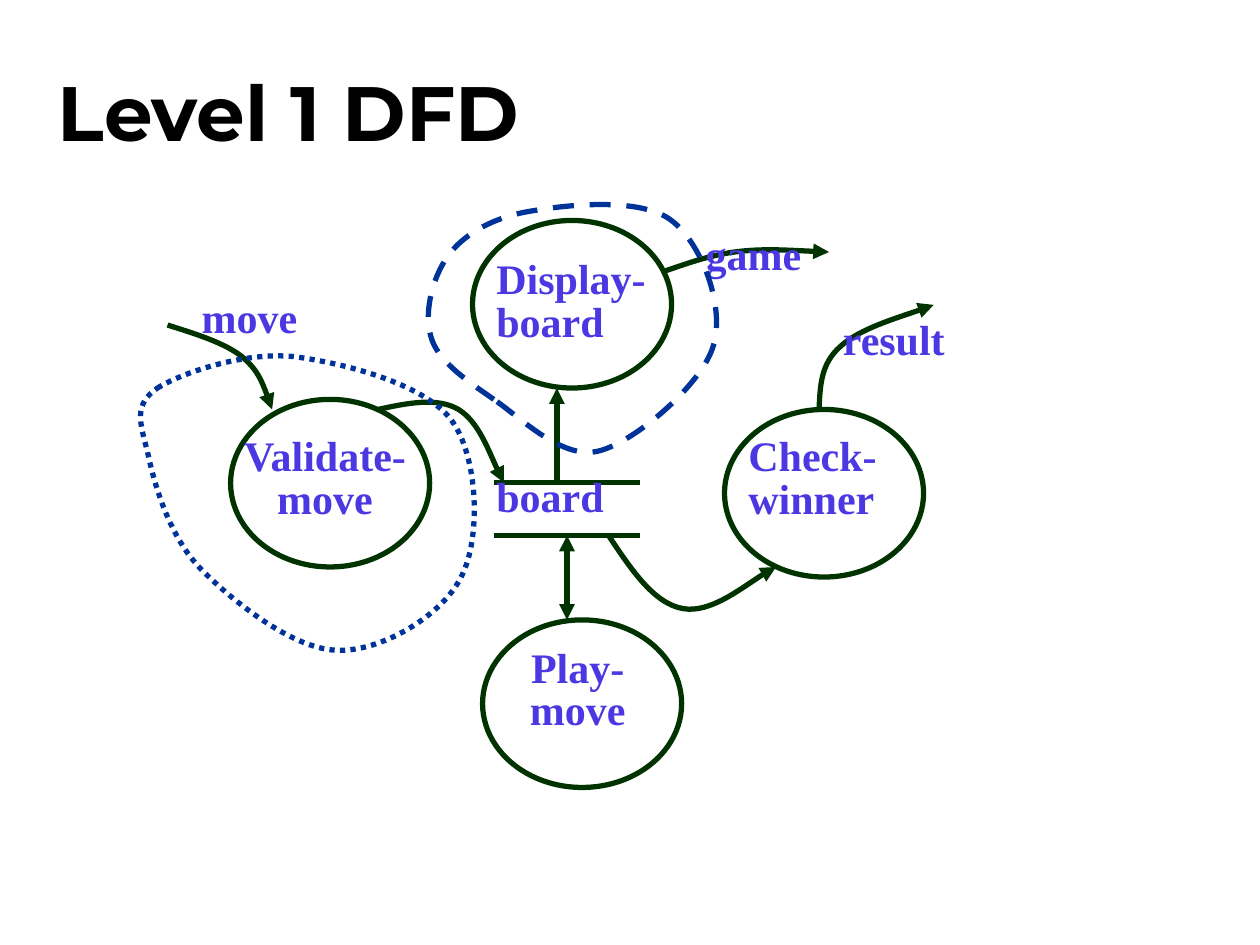
from pptx import Presentation
from pptx.dml.color import RGBColor
from pptx.enum.dml import MSO_LINE
from pptx.enum.shapes import MSO_CONNECTOR, MSO_SHAPE
from pptx.enum.text import MSO_ANCHOR, PP_ALIGN
from pptx.oxml.ns import qn
from pptx.util import Inches, Pt
from lxml import etree

OVAL = MSO_SHAPE.OVAL
STRAIGHT = MSO_CONNECTOR.STRAIGHT
DASH, DOT = MSO_LINE.DASH, MSO_LINE.ROUND_DOT
LEFT, CENTER = PP_ALIGN.LEFT, PP_ALIGN.CENTER
TOP, MIDDLE = MSO_ANCHOR.TOP, MSO_ANCHOR.MIDDLE

GREEN, BLUE, VIOLET, BLACK = "003300", "003399", "4C38E2", "000000"
PROCESS_W, PROCESS_H = 1.58, 1.33


def rgb(value):
    return RGBColor.from_string(value)


def style_line(s, color=GREEN, dash=None, ends=()):
    """Set the stroke; ends holds any of headEnd and tailEnd, in that order."""
    s.line.color.rgb = rgb(color)
    s.line.width = Pt(3)
    if dash is not None:
        s.line.dash_style = dash
    ln = s.element.spPr.find(qn("a:ln"))
    for end in ends:
        etree.SubElement(ln, qn(f"a:{end}"), type="triangle")


def write_text(s, text, font, size, color, align, anchor):
    tf = s.text_frame
    tf.word_wrap = True
    tf.vertical_anchor = anchor
    tf.margin_left = tf.margin_right = Inches(0.02)
    tf.margin_top = tf.margin_bottom = Inches(0.05)
    p = tf.paragraphs[0]
    p.alignment = align
    r = p.add_run()
    r.text = text
    r.font.name = font
    r.font.size = Pt(size)
    r.font.bold = True
    r.font.color.rgb = rgb(color)
    return p


def add_title(slide, text, x, y, w, h):
    s = slide.shapes.title
    s.left, s.top, s.width, s.height = map(Inches, (x, y, w, h))
    write_text(s, text, "Montserrat", 44, BLACK, LEFT, MIDDLE)


def add_label(slide, text, x, y, w, h=0.5, align=LEFT):
    s = slide.shapes.add_textbox(*map(Inches, (x, y, w, h)))
    p = write_text(s, text, "Times New Roman", 24, VIOLET, align, TOP)
    p.line_spacing = 0.85


def add_straight(slide, start, end, ends=()):
    s = slide.shapes.add_connector(STRAIGHT, *map(Inches, (*start, *end)))
    etree.SubElement(s.element.spPr, qn("a:effectLst"))
    style_line(s, ends=ends)


def add_curve(slide, points, color=GREEN, dash=None, ends=()):
    """Draw Bezier curves: a start, then two control points and an end each."""
    start, *rest = [tuple(map(Inches, pt)) for pt in points]
    builder = slide.shapes.build_freeform(*start)
    builder.add_line_segments(rest, close=False)
    s = builder.convert_to_shape()
    outline = next(s.element.iter(qn("a:moveTo"))).getparent()
    segments = outline.findall(qn("a:lnTo"))
    for i in range(0, len(segments), 3):
        bezier = etree.SubElement(outline, qn("a:cubicBezTo"))
        for segment in segments[i:i + 3]:
            bezier.append(segment[0])
            outline.remove(segment)
    s.shadow.inherit = False
    s.fill.background()
    style_line(s, color, dash, ends)


def add_process(slide, text, x, y, dx, dy, w=1.33, align=LEFT):
    """Draw an oval at x, y with its label offset by dx, dy."""
    s = slide.shapes.add_shape(
        OVAL, *map(Inches, (x, y, PROCESS_W, PROCESS_H)))
    s.shadow.inherit = False
    s.fill.background()
    style_line(s)
    add_label(slide, text, x + dx, y + dy, w, 0.9, align)


def add_store(slide, text, x, y, w, h):
    """Draw a data store: a label between two rules."""
    for rule_y in (y, y + h):
        add_straight(slide, (x, rule_y), (x + w, rule_y))
    add_label(slide, text, x, y - 0.08, w)


FLOWS = [
    [(4.83, 4.25), (5.01, 4.52), (5.19, 4.79), (5.42, 4.83),
     (5.64, 4.87), (6.04, 4.55), (6.16, 4.5)],
    [(3, 3.25), (3.23, 3.2), (3.47, 3.15), (3.64, 3.25),
     (3.8, 3.35), (3.94, 3.73), (4, 3.83)],
    [(1.33, 2.58), (1.55, 2.65), (1.78, 2.72), (1.92, 2.83),
     (2.05, 2.94), (2.11, 3.1), (2.16, 3.25)],
    [(6.5, 3.25), (6.51, 3.07), (6.51, 2.89), (6.67, 2.75),
     (6.82, 2.61), (7.29, 2.47), (7.41, 2.42)],
    [(5.25, 2.16), (5.43, 2.1), (5.61, 2.03), (5.83, 2),
     (6.05, 1.97), (6.32, 1.99), (6.58, 2)],
]
VALIDATE_BOUNDARY = [
    (1.25, 3.08), (1.44, 2.96), (1.94, 2.79), (2.33, 2.83),
    (2.72, 2.88), (3.36, 3.04), (3.58, 3.33),
    (3.8, 3.62), (3.82, 4.28), (3.66, 4.58),
    (3.51, 4.89), (3.01, 5.18), (2.67, 5.16),
    (2.32, 5.15), (1.83, 4.76), (1.58, 4.5),
    (1.33, 4.23), (1.22, 3.82), (1.17, 3.58),
    (1.11, 3.35), (1.06, 3.21), (1.25, 3.08),
]
DISPLAY_BOUNDARY = [
    (3.92, 3.17), (3.69, 3.01), (3.47, 2.86), (3.42, 2.67),
    (3.36, 2.47), (3.44, 2.17), (3.58, 2),
    (3.72, 1.83), (3.96, 1.71), (4.25, 1.67),
    (4.54, 1.62), (5.1, 1.57), (5.33, 1.75),
    (5.57, 1.93), (5.76, 2.44), (5.66, 2.75),
    (5.57, 3.05), (5.04, 3.51), (4.75, 3.58),
    (4.46, 3.65), (4.14, 3.32), (3.92, 3.17),
]


def add_flows(slide):
    add_straight(slide, (4.42, 3.83), (4.42, 3.08), ["tailEnd"])
    add_straight(slide, (4.5, 4.25), (4.5, 4.92), ["headEnd", "tailEnd"])
    for points in FLOWS:
        add_curve(slide, points, ends=["tailEnd"])
    add_label(slide, "move", 1.58, 2.33, 1.16)
    add_label(slide, "result", 6.67, 2.5, 1.16)
    add_label(slide, "game", 5.58, 1.83, 1.5)


def main():
    prs = Presentation()
    prs.slide_width, prs.slide_height = Inches(10), Inches(7.5)
    slide = prs.slides.add_slide(prs.slide_layouts[5])
    add_title(slide, "Level 1 DFD", 0.44, 0.25, 8.5, 1.25)
    add_process(slide, "Display-board", 3.75, 1.75, 0.17, 0.27)
    add_process(slide, "Play-move", 3.83, 4.92, 0.09, 0.18, align=CENTER)
    add_process(slide, "Validate-move", 1.83, 3.17, 0, 0.25, 1.5, CENTER)
    add_process(slide, "Check-winner", 5.75, 3.25, 0.17, 0.17)
    add_store(slide, "board", 3.92, 3.83, 1.16, 0.42)
    add_flows(slide)
    add_curve(slide, VALIDATE_BOUNDARY, BLUE, DOT)
    add_curve(slide, DISPLAY_BOUNDARY, BLUE, DASH)
    prs.save("out.pptx")


if __name__ == "__main__":
    main()
